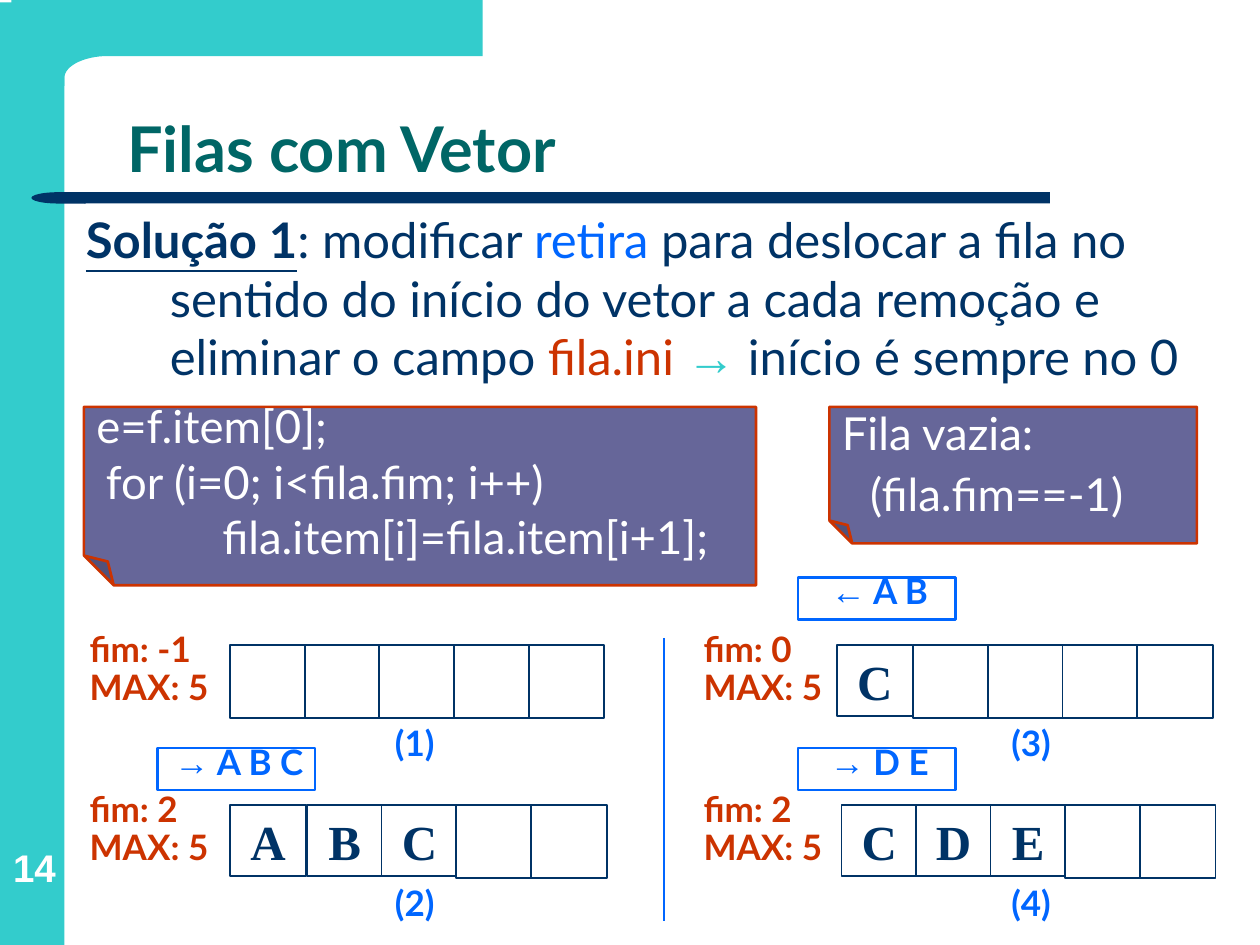
import math

from pptx import Presentation
from pptx.dml.color import RGBColor
from pptx.enum.shapes import MSO_CONNECTOR, MSO_SHAPE
from pptx.enum.text import MSO_ANCHOR, PP_ALIGN
from pptx.oxml.ns import qn
from pptx.util import Pt

RECTANGLE = MSO_SHAPE.RECTANGLE
FOLDED_CORNER = MSO_SHAPE.FOLDED_CORNER
DELAY = MSO_SHAPE.FLOWCHART_DELAY
STRAIGHT = MSO_CONNECTOR.STRAIGHT
TOP, MIDDLE, BOTTOM = MSO_ANCHOR.TOP, MSO_ANCHOR.MIDDLE, MSO_ANCHOR.BOTTOM
LEFT, CENTER = PP_ALIGN.LEFT, PP_ALIGN.CENTER

TEAL, NAVY, GREEN, BLUE = "33CCCC", "003366", "006666", "0066FF"
RED, PURPLE, WHITE = "CC3300", "666699", "FFFFFF"
INSETS = (7.2, 3.6, 7.2, 3.6)

TITLE = "Filas com Vetor"
PAGE_NUMBER = "14"

# text, colour, font, bold, underline
SOLUTION = [
    ("Solução 1", NAVY, "Lato", True, True),
    (": modificar ", NAVY, "Lato", False, False),
    ("retira", BLUE, "Lato", False, False),
    (" para deslocar a fila no sentido do início do vetor a cada remoção e "
     "eliminar o campo ", NAVY, "Lato", False, False),
    ("fila.ini ", RED, "Lato", False, False),
    ("→", TEAL, "Arial", True, False),
    (" início é sempre no 0", NAVY, "Lato", False, False),
]

# box, lines of (text, indent, line spacing)
CODE_NOTES = [
    ((48, 232.5, 384, 102), [
        ("e=f.item[0];", 0, 0.9),
        ("for (i=0; i<fila.fim; i++)", 5.4, 0.8),
        ("fila.item[i]=fila.item[i+1];", 72, 0.8),
    ]),
    ((474, 232.5, 210, 78), [
        ("Fila vazia:", 0, 0.9),
        ("(fila.fim==-1)", 16.2, 0.9),
    ]),
]

# caption, fim, letters, column, row, left of first cell, left of second cell
QUEUES = [
    ("(1)", -1, "", 0, 0, 131.6, 174.1),
    ("(2)", 2, "ABC", 0, 1, 131.6, 175.4),
    ("(3)", 0, "C", 1, 0, 478.3, 521.8),
    ("(4)", 2, "CDE", 1, 1, 480.8, 523.3),
]
CAPACITY = 5
CELL_STEP, CELL_WIDTH, FILLED_HEIGHT, EMPTY_HEIGHT = 42.7, 43.2, 40.5, 41.8
ROW_TOPS = (368.6, 460.1)
STATE_LEFTS = (51.2, 402)
CAPTION_LEFTS = (213, 565.2)

# arrow, letters, left, top
OPERATIONS = [
    ("→", " A B C", 90, 427.5),
    ("←", " A B", 456, 330),
    ("→", " D E", 456, 427.5),
]


def color(value):
    return RGBColor.from_string(value)


def add_shape(slide, kind, box, fill=None, line=None, line_width=1, flip=False):
    shape = slide.shapes.add_shape(kind, *map(Pt, box))
    paint(shape, fill, line, line_width)
    if flip:
        shape.element.spPr.find(qn("a:xfrm")).set("flipH", "1")
    return shape


def paint(shape, fill, line=None, line_width=1):
    shape.shadow.inherit = False
    if fill:
        shape.fill.solid()
        shape.fill.fore_color.rgb = color(fill)
    else:
        shape.fill.background()
    if line:
        shape.line.color.rgb = color(line)
        shape.line.width = Pt(line_width)
    else:
        shape.line.fill.background()


def prepare_frame(shape, insets=INSETS, anchor=TOP):
    frame = shape.text_frame
    frame.word_wrap = True
    frame.vertical_anchor = anchor
    frame.margin_left, frame.margin_top, frame.margin_right, frame.margin_bottom = map(Pt, insets)
    return frame


def format_run(run, size, fill, font="Lato", bold=True, underline=False):
    run.font.size = Pt(size)
    run.font.name = font
    run.font.bold = bold
    run.font.underline = underline
    run.font.color.rgb = color(fill)


def format_paragraph(paragraph, align=LEFT, spacing=1.0, before=0, after=0, indent=0, first=0):
    paragraph.alignment = align
    paragraph.line_spacing = spacing
    paragraph.space_before = Pt(before)
    paragraph.space_after = Pt(after)
    properties = paragraph._p.get_or_add_pPr()
    properties.set("marL", str(Pt(indent)))
    properties.set("indent", str(Pt(first)))


def write(shape, text, size, fill, insets=INSETS, anchor=TOP, font="Lato", **layout):
    """Fill a shape with evenly formatted bold text, one paragraph a line."""
    frame = prepare_frame(shape, insets, anchor)
    frame.text = text
    for paragraph in frame.paragraphs:
        format_paragraph(paragraph, **layout)
        format_run(paragraph.runs[0], size, fill, font)


def add_text(slide, box, *content, **layout):
    write(slide.shapes.add_textbox(*map(Pt, box)), *content, **layout)


def add_frame(slide):
    """Draw the side bar, the rounded header and the rule under the title."""
    add_shape(slide, RECTANGLE, (0, 1.4, 36.8, 538.6), TEAL)
    corner = [(62 - 25.2 * math.sin(angle), 44.6 - 12.6 * math.cos(angle))
              for angle in (math.radians(degrees) for degrees in range(0, 91, 6))]
    outline = [(275.8, 32), *corner, (36.8, 49), (6.5, 49), (6.5, 0)]
    builder = slide.shapes.build_freeform(Pt(275.8), 0)
    builder.add_line_segments([(Pt(x), Pt(y)) for x, y in outline], close=True)
    paint(builder.convert_to_shape(), TEAL)
    add_shape(slide, RECTANGLE, (48.2, 109.8, 551.8, 6.5), NAVY)
    add_shape(slide, DELAY, (18, 109.8, 31, 6.5), NAVY, flip=True)


def add_solution(slide):
    shape = slide.shapes.add_textbox(Pt(42), Pt(116), Pt(678), Pt(406))
    paragraph = prepare_frame(shape).paragraphs[0]
    format_paragraph(paragraph, before=7, indent=48, first=-48)
    for text, fill, font, bold, underline in SOLUTION:
        run = paragraph.add_run()
        run.text = text
        format_run(run, 28, fill, font, bold, underline)


def add_code_note(slide, box, lines):
    note = add_shape(slide, FOLDED_CORNER, box, PURPLE, RED, 1.5, flip=True)
    frame = prepare_frame(note, (7.2, 6.5, 7.2, 3.6), MIDDLE)
    frame.text = "\n".join(text for text, _, _ in lines)
    for paragraph, (_, indent, spacing) in zip(frame.paragraphs, lines):
        format_paragraph(paragraph, spacing=spacing, before=6.5, indent=indent)
        format_run(paragraph.runs[0], 26, WHITE, bold=False)


def add_queue(slide, caption, end, letters, column, row, first_left, second_left):
    top = ROW_TOPS[row]
    for index in range(CAPACITY):
        left = second_left + (index - 1) * CELL_STEP if index else first_left
        filled = index < len(letters)
        height = FILLED_HEIGHT if filled else EMPTY_HEIGHT
        cell = add_shape(slide, RECTANGLE, (left, top, CELL_WIDTH, height), WHITE, NAVY)
        if filled:
            write(cell, letters[index], 28, NAVY, font="Times New Roman", align=CENTER)
    tight = {"spacing": 0.5, "before": 5, "after": 5}
    add_text(slide, (STATE_LEFTS[column], top - 5.8, 90, 48), f"fim: {end}\nMAX: {CAPACITY}",
             20, RED, (0, 6, 0, 0), **tight)
    add_text(slide, (CAPTION_LEFTS[column], top + 48.2, 48, 30), caption,
             20, BLUE, (6, 6, 6, 6), align=CENTER, **tight)


def add_operation(slide, arrow, letters, left, top):
    shape = add_shape(slide, RECTANGLE, (left, top, 90, 24), None, BLUE, 1.5)
    paragraph = prepare_frame(shape, (6, 6, 3, 6)).paragraphs[0]
    format_paragraph(paragraph, CENTER, 0.5, 5, 5)
    for text, font in ((arrow, "Arial"), (letters, "Lato")):
        run = paragraph.add_run()
        run.text = text
        format_run(run, 20, BLUE, font)


def add_divider(slide):
    line = slide.shapes.add_connector(STRAIGHT, Pt(379.5), Pt(364.5), Pt(379.5), Pt(526.5))
    line.line.color.rgb = color(BLUE)
    line.line.width = Pt(0.75)
    properties = line.element.spPr
    properties.append(properties.makeelement(qn("a:effectLst"), {}))


def main():
    presentation = Presentation()
    presentation.slide_width, presentation.slide_height = Pt(720), Pt(540)
    slide = presentation.slides.add_slide(presentation.slide_layouts[6])
    add_frame(slide)
    add_text(slide, (2, 469.5, 35.3, 39), PAGE_NUMBER, 22, WHITE, (0, 0, 0, 0), BOTTOM, "Arial", align=CENTER)
    add_text(slide, (65.5, 31.7, 612.7, 78.5), TITLE, 36, GREEN, INSETS, BOTTOM, spacing=0.9)
    add_solution(slide)
    for note in CODE_NOTES:
        add_code_note(slide, *note)
    for queue in QUEUES:
        add_queue(slide, *queue)
    add_divider(slide)
    for operation in OPERATIONS:
        add_operation(slide, *operation)
    presentation.save("out.pptx")


if __name__ == "__main__":
    main()
